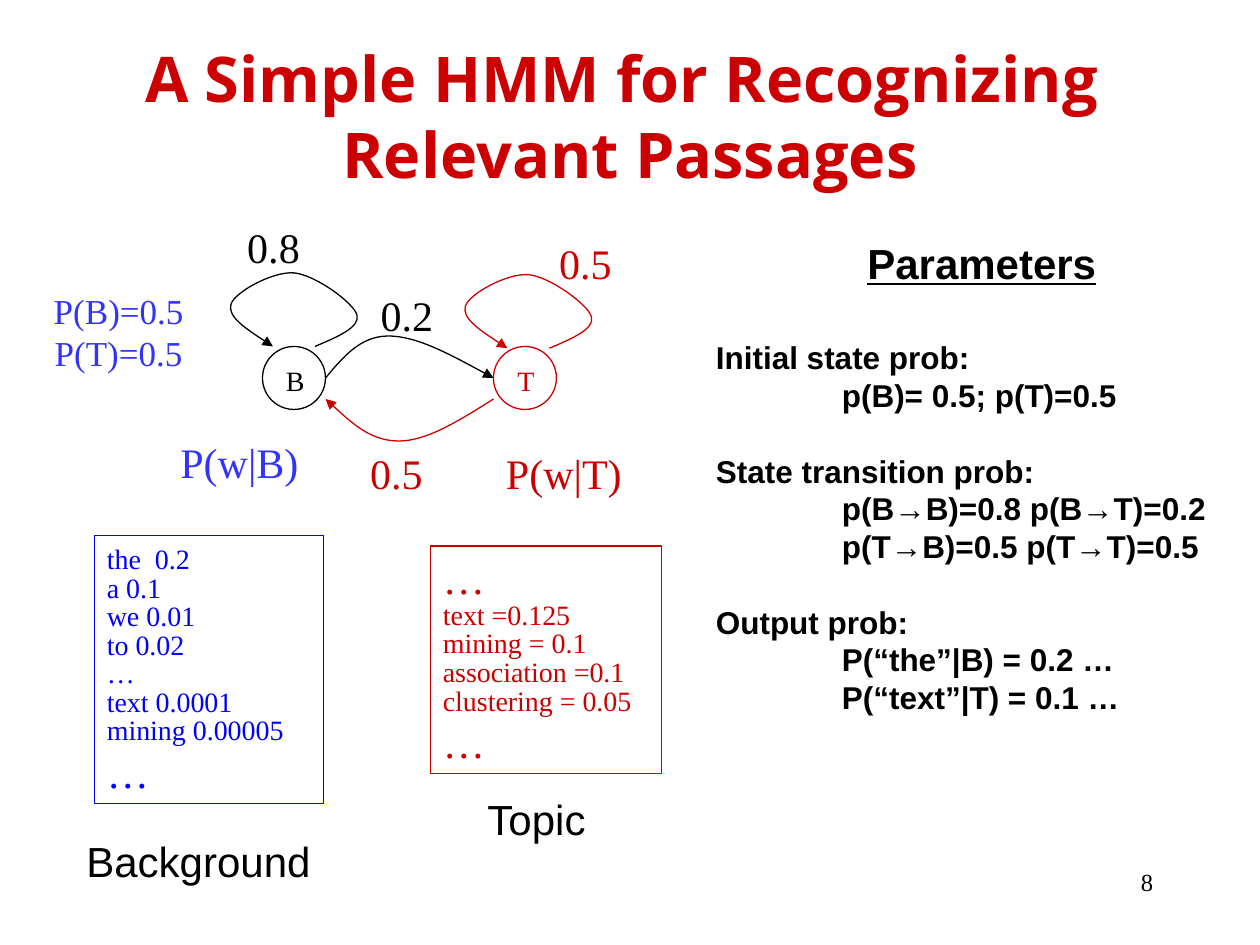
from pptx import Presentation
from pptx.dml.color import RGBColor
from pptx.enum.shapes import MSO_SHAPE
from pptx.enum.text import MSO_ANCHOR, MSO_AUTO_SIZE, PP_ALIGN
from pptx.oxml.ns import qn
from pptx.util import Inches, Pt
from lxml import etree

LEFT, CENTER, RIGHT = PP_ALIGN.LEFT, PP_ALIGN.CENTER, PP_ALIGN.RIGHT
TOP, MIDDLE = MSO_ANCHOR.TOP, MSO_ANCHOR.MIDDLE
FIXED, GROW = MSO_AUTO_SIZE.NONE, MSO_AUTO_SIZE.SHAPE_TO_FIT_TEXT
RECTANGLE, OVAL = MSO_SHAPE.RECTANGLE, MSO_SHAPE.OVAL

COLUMNS, ROWS = 120, 90
TITLE_ONLY = 5
SERIF, SANS, HEADING = "Times New Roman", "Arial", "Open Sans"
BLACK, RED, BLUE, VIOLET = "000000", "CC0000", "0000FF", "3333FF"


def color(value):
    return RGBColor.from_string(value)


class HmmSlide:
    """Holds the current slide and draws on a grid of COLUMNS by ROWS."""

    def __init__(self, deck):
        self.cell_width = deck.slide_width / COLUMNS
        self.cell_height = deck.slide_height / ROWS
        self.page = deck.slides.add_slide(deck.slide_layouts[TITLE_ONLY])

    def point(self, column, row):
        return round(column * self.cell_width), round(row * self.cell_height)

    def place(self, column, row, width, height):
        return *self.point(column, row), *self.point(width, height)

    def format_runs(self, para, size, ink, font, bold=False):
        for span in para.runs:
            span.font.size = Pt(size)
            span.font.name = font
            span.font.bold = bold
            span.font.color.rgb = color(ink)

    def title(self, text, place):
        box = self.page.shapes.title
        box.left, box.top, box.width, box.height = self.place(*place)
        frame = box.text_frame
        frame.text = text
        frame.auto_size = FIXED
        frame.vertical_anchor = MIDDLE
        para = frame.paragraphs[0]
        para.alignment = CENTER
        self.format_runs(para, 36, RED, HEADING, bold=True)

    def fill_text(self, box, lines, size, ink, font, align, wrap):
        frame = box.text_frame
        frame.text = "\n".join(lines)
        frame.word_wrap = wrap
        frame.auto_size = GROW
        frame.vertical_anchor = TOP
        for para in frame.paragraphs:
            para.alignment = align
            self.format_runs(para, size, ink, font)
        return frame.paragraphs

    def label(self, text, place, size=24, ink=BLACK, font=SERIF, align=CENTER, wrap=False):
        box = self.page.shapes.add_textbox(*self.place(*place))
        self.fill_text(box, text.split("\n"), size, ink, font, align, wrap)

    def outline(self, kind, place, ink):
        shape = self.page.shapes.add_shape(kind, *self.place(*place))
        self.style_line(shape, ink)
        return shape

    def style_line(self, shape, ink):
        shape.shadow.inherit = False
        shape.fill.background()
        shape.line.color.rgb = color(ink)
        shape.line.width = Pt(0.75)

    def word_box(self, lines, place, ink, large):
        """Lists word probabilities; the lines numbered in large are set bigger."""
        box = self.outline(RECTANGLE, place, ink)
        paras = self.fill_text(box, lines, 16, ink, SERIF, LEFT, True)
        for para in paras[1:-1]:
            para.line_spacing = 0.85
        for number in large:
            self.format_runs(paras[number], 24, ink, SERIF)

    def parameters(self, heading, groups, place):
        lines = [heading] + [line for group in groups for line in group]
        box = self.page.shapes.add_textbox(*self.place(*place))
        paras = self.fill_text(box, lines, 18, BLACK, SANS, LEFT, True)
        for para in paras:
            self.format_runs(para, 18, BLACK, SANS, bold=True)
        paras[0].alignment = CENTER
        self.format_runs(paras[0], 24, BLACK, SANS, bold=True)
        paras[0].runs[0].font.underline = True
        remaining = iter(paras[1:])
        for index, group in enumerate(groups):
            next(remaining).space_before = Pt(21.5 if index else 29)
            for _ in group[1:]:
                next(remaining)._p.get_or_add_pPr().set("marL", str(Inches(1)))

    def state(self, name, column, row, ink):
        self.outline(OVAL, (column, row, 6, 6), ink)
        self.label(name, (column + 1.05, row + 1, 4.1, 4.4), 16, ink)

    def curve(self, points, ink):
        """Draws Bezier segments ending in an arrow: a start, then points in threes."""
        start, *rest = [self.point(*point) for point in points]
        builder = self.page.shapes.build_freeform(*start, scale=1.0)
        builder.add_line_segments(rest, close=False)
        shape = builder.convert_to_shape()
        self.style_line(shape, ink)
        segments = list(shape.element.iter(qn("a:lnTo")))
        for index in range(0, len(segments), 3):
            bezier = etree.Element(qn("a:cubicBezTo"))
            segments[index].addprevious(bezier)
            for segment in segments[index:index + 3]:
                bezier.append(segment[0])
                segment.getparent().remove(segment)
        line = shape.line._get_or_add_ln()
        etree.SubElement(line, qn("a:tailEnd"), type="triangle")


SELF_LOOP = [
    (30, 33), (32.17, 32.08), (34.33, 31.17), (34, 30),
    (33.67, 28.83), (30, 26.17), (28, 26),
    (26, 25.83), (22.33, 27.83), (22, 29),
    (21.67, 30.17), (23.83, 31.58), (26, 33),
]
TO_TOPIC = [(31, 36), (32.67, 34), (34.33, 32), (37, 32),
            (39.67, 32), (43.33, 34), (47, 36)]
TO_BACKGROUND = [(47, 38), (43.83, 40), (40.67, 42), (38, 42),
                 (35.33, 42), (33.17, 40), (31, 38)]
BACKGROUND_WORDS = ["the  0.2", "a 0.1", "we 0.01", "to 0.02", "…",
                    "text 0.0001", "mining 0.00005", "…"]
TOPIC_WORDS = ["…", "text =0.125", "mining = 0.1", "association =0.1",
               "clustering = 0.05", "…"]
PARAMETERS = [
    ["Initial state prob:", "p(B)= 0.5; p(T)=0.5"],
    ["State transition prob:", "p(B→B)=0.8 p(B→T)=0.2", "p(T→B)=0.5 p(T→T)=0.5"],
    ["Output prob:", "P(“the”|B) = 0.2 …", "P(“text”|T) = 0.1 …"],
]
TRANSITIONS = [("0.8", 22.2, 20.5, BLACK), ("0.2", 34.9, 27, BLACK),
               ("0.5", 51.9, 22, RED), ("0.5", 33.9, 42, RED)]


def main():
    deck = Presentation()
    deck.slide_width, deck.slide_height = Inches(10), Inches(7.5)
    slide = HmmSlide(deck)

    slide.label("8", (86, 82, 25, 6), 14, align=RIGHT, wrap=True)
    slide.title("A Simple HMM for Recognizing \vRelevant Passages", (0, 4, 120, 14))
    slide.word_box(BACKGROUND_WORDS, (9, 51, 21.8, 25.5), BLUE, large=[-1])
    slide.word_box(TOPIC_WORDS, (41, 52, 22, 21.7), RED, large=[0, -1])
    slide.parameters("Parameters", PARAMETERS, (67, 22, 53, 54))

    slide.label("P(B)=0.5\nP(T)=0.5", (3.8, 27, 15, 9.2), 20, VIOLET)
    slide.label("P(w|B)", (15.8, 41, 14, 6), ink=VIOLET)
    slide.label("P(w|T)", (46.7, 42, 14, 6), ink=RED)
    slide.state("B", 25, 33, BLACK)
    slide.state("T", 47, 33, RED)
    slide.curve(SELF_LOOP, BLACK)
    slide.curve([(column + 22.33, row + 0.17) for column, row in SELF_LOOP], RED)
    slide.curve(TO_TOPIC, BLACK)
    slide.curve(TO_BACKGROUND, RED)
    for text, column, row, ink in TRANSITIONS:
        slide.label(text, (column, row, 7.7, 6), ink=ink)

    slide.label("Background", (7, 79, 23.8, 6), font=SANS)
    slide.label("Topic", (45, 75, 12.2, 6), font=SANS)
    deck.save("out.pptx")


if __name__ == "__main__":
    main()
